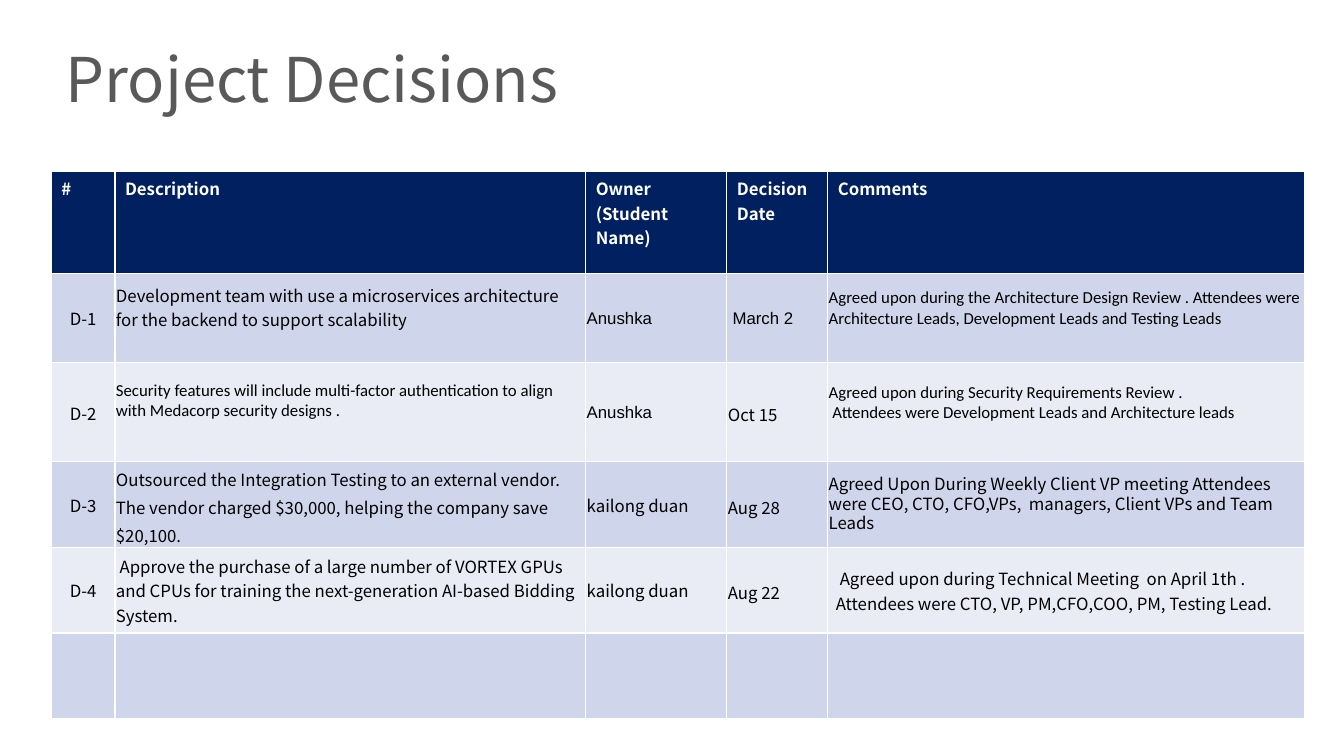
from lxml import etree
from pptx import Presentation
from pptx.dml.color import RGBColor
from pptx.enum.text import MSO_ANCHOR, PP_ALIGN
from pptx.oxml.ns import qn
from pptx.util import Emu, Pt

PX = 9144
TOP, MIDDLE = MSO_ANCHOR.TOP, MSO_ANCHOR.MIDDLE
CENTER = PP_ALIGN.CENTER
NOTO, ARIAL, CALIBRI = "Noto Sans CJK SC", "Arial", "Calibri"
NAVY, WHITE, BLACK, GREY = "002060", "FFFFFF", "000000", "595959"
BANDS = ["CFD5EA", "E9EBF5"]

COLS = [63, 467, 140, 100, 473]
ROWS = [101, 89, 98, 85, 85, 85]
HEADER = ["#", "Description", "Owner\n(Student Name)", "Decision Date", "Comments"]

ID = {"para": {"alignment": CENTER}}
NAME = {"font": ARIAL}
RAISED = {"font": CALIBRI, "bottom": 20}
DATE = {"para": {"line_spacing": 1.15}}
DECISIONS = [
    [("D-1", ID),
     ("Development team with use a microservices architecture for the backend "
      "to support scalability", {"bottom": 22}),
     ("Anushka", NAME),
     (" March 2", NAME),
     ("Agreed upon during the Architecture Design Review . Attendees were "
      "Architecture Leads, Development Leads and Testing Leads", RAISED)],
    [("D-2", ID),
     ("Security features will include multi-factor authentication to align "
      "with Medacorp security designs .", {"font": CALIBRI, "bottom": 24}),
     ("Anushka", NAME),
     ("Oct 15", DATE),
     ("Agreed upon during Security Requirements Review .\n"
      " Attendees were Development Leads and Architecture leads", RAISED)],
    [("D-3", ID),
     ("Outsourced the Integration Testing to an external vendor. The vendor "
      "charged $30,000, helping the company save $20,100.",
      {"para": {"line_spacing": 1.15, "space_before": Pt(12), "space_after": Pt(12)}}),
     ("kailong duan", {}),
     ("Aug 28", DATE),
     ("Agreed Upon During Weekly Client VP meeting Attendees were CEO, CTO, "
      "CFO,VPs,  managers, Client VPs and Team Leads",
      {"para": {"line_spacing": Pt(14.2)}})],
    [("D-4", ID),
     (" Approve the purchase of a large number of VORTEX GPUs and CPUs for "
      "training the next-generation AI-based Bidding System.", {}),
     ("kailong duan", {}),
     ("Aug 22", DATE),
     ("Agreed upon during Technical Meeting  on April 1th .\n"
      "Attendees were CTO, VP, PM,CFO,COO, PM, Testing Lead.",
      {"indents": [11, 7]})],
    [("", {})] * len(COLS),
]


def px(n):
    return Emu(n * PX)


def rgb(value):
    return RGBColor.from_string(value)


def set_attrs(obj, values):
    for name, value in values.items():
        setattr(obj, name, value)


def write(tf, text, size, color, font=NOTO, bold=False, para=None, indents=()):
    tf.word_wrap = True
    for i, line in enumerate(text.split("\n")):
        p = tf.paragraphs[0] if i == 0 else tf.add_paragraph()
        set_attrs(p, para or {})
        if i < len(indents):
            p._p.get_or_add_pPr().set("marL", str(px(indents[i])))
        set_attrs(p.font, {"size": Pt(size), "name": font})
        if line:
            r = p.add_run()
            r.text = line
            set_attrs(r.font, {"size": Pt(size), "name": font, "bold": bold})
            r.font.color.rgb = rgb(color)


def add_borders(cell):
    tcPr = cell._tc.get_or_add_tcPr()
    for side in ("lnL", "lnR", "lnT", "lnB"):
        ln = etree.SubElement(tcPr, qn(f"a:{side}"), w=str(Pt(1)))
        fill = etree.SubElement(ln, qn("a:solidFill"))
        etree.SubElement(fill, qn("a:srgbClr"), val=WHITE)


def style_cell(cell, fill, anchor, margins):
    add_borders(cell)
    cell.fill.solid()
    cell.fill.fore_color.rgb = rgb(fill)
    cell.vertical_anchor = anchor
    sides = ("margin_left", "margin_top", "margin_right", "margin_bottom")
    set_attrs(cell, dict(zip(sides, map(px, margins))))


def add_title(slide, x, y, w, h):
    tf = slide.shapes.add_textbox(px(x), px(y), px(w), px(h)).text_frame
    set_attrs(tf, {"vertical_anchor": MIDDLE, "margin_left": px(8), "margin_right": px(8),
                   "margin_top": 0, "margin_bottom": 0})
    write(tf, "Project Decisions", 44, GREY, para={"line_spacing": 0.75})


def add_decision_table(slide, x, y):
    frame = slide.shapes.add_table(len(ROWS), len(COLS), px(x), px(y),
                                   px(sum(COLS)), px(sum(ROWS)))
    table = frame.table
    for col, w in zip(table.columns, COLS):
        col.width = px(w)
    for row, h in zip(table.rows, ROWS):
        row.height = px(h)
    for c, text in enumerate(HEADER):
        cell = table.cell(0, c)
        style_cell(cell, NAVY, TOP, (10, 5, 10, 5))
        write(cell.text_frame, text, 12, WHITE, bold=True)
    for r, decision in enumerate(DECISIONS):
        for c, (text, fmt) in enumerate(decision):
            cell = table.cell(r + 1, c)
            style_cell(cell, BANDS[r % 2], MIDDLE, (1, 1, 1, fmt.get("bottom", 0)))
            write(cell.text_frame, text, 12, BLACK, font=fmt.get("font", NOTO),
                  para=fmt.get("para"), indents=fmt.get("indents", ()))


def main():
    prs = Presentation()
    set_attrs(prs, {"slide_width": px(1333), "slide_height": px(750)})
    slide = prs.slides.add_slide(prs.slide_layouts[6])
    add_title(slide, 57, 26, 1093, 119)
    add_decision_table(slide, 51, 170)
    prs.save("out.pptx")


if __name__ == "__main__":
    main()
